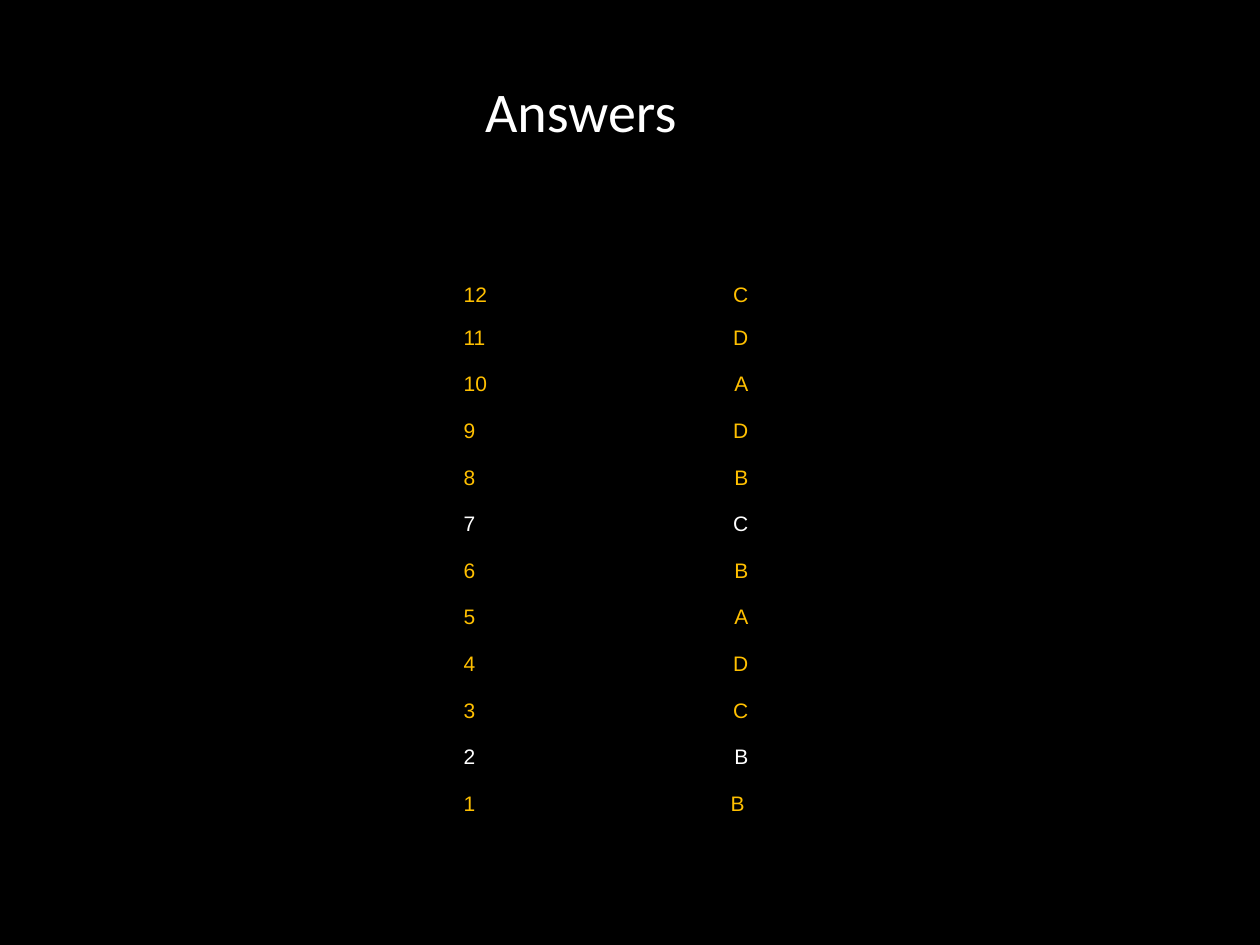
from pptx import Presentation
from pptx.dml.color import RGBColor
from pptx.enum.shapes import MSO_SHAPE
from pptx.enum.text import MSO_ANCHOR, PP_ALIGN
from pptx.oxml.ns import qn
from pptx.util import Inches, Pt

BLACK = RGBColor(0x00, 0x00, 0x00)
WHITE = RGBColor(0xFF, 0xFF, 0xFF)
GOLD = RGBColor(0xFF, 0xC0, 0x00)
PLAIN_TABLE = "{2D5ABB26-0587-4C30-8999-92F81FD0307C}"

ANSWERS = "BBCDABCBDADC"  # questions 1 to 12
WHITE_QUESTIONS = (2, 7)
COLUMN_WIDTHS = (0.77, 1.52)
END_ROW, INNER_ROW = 0.34, 0.37
INSET = 0.03


class Deck:
    """Holds the style and the current slide."""

    def __init__(self, prs):
        """Add a title-only slide."""
        self.title_font, self.body_font = "Calibri", "Arial"
        self.s = prs.slides.add_slide(prs.slide_layouts[5])

    def style(self, p, name, size, color, align):
        """Format one paragraph."""
        p.alignment = align
        p.font.name, p.font.size = name, Pt(size)
        p.font.color.rgb = color

    def backdrop(self, width, height):
        """Put a black rectangle behind everything else."""
        sp = self.s.shapes.add_shape(
            MSO_SHAPE.RECTANGLE, 0, 0, Inches(width), Inches(height))
        sp.shadow.inherit = False
        sp.fill.solid()
        sp.fill.fore_color.rgb = BLACK
        sp.line.fill.background()
        self.s.shapes._spTree.insert(2, sp._element)

    def title(self, text, left, top, width, height):
        """Place and fill the title placeholder."""
        sp = self.s.shapes.title
        sp.left, sp.top = Inches(left), Inches(top)
        sp.width, sp.height = Inches(width), Inches(height)
        tf = sp.text_frame
        tf.text = text
        tf.vertical_anchor = MSO_ANCHOR.MIDDLE
        self.style(tf.paragraphs[0], self.title_font, 32, WHITE, PP_ALIGN.CENTER)

    def cell(self, cell, text, color, align, left=0, right=0):
        """Fill one table cell."""
        cell.text = text
        cell.margin_left, cell.margin_right = Inches(left), Inches(right)
        cell.margin_top = cell.margin_bottom = 0
        cell.fill.solid()
        cell.fill.fore_color.rgb = BLACK
        self.style(cell.text_frame.paragraphs[0], self.body_font, 12, color, align)

    def answer_table(self, answers, left, top):
        """List the answers from the last question down to the first."""
        count = len(answers)
        heights = [END_ROW] + [INNER_ROW] * (count - 2) + [END_ROW]
        frame = self.s.shapes.add_table(
            count, 2, Inches(left), Inches(top),
            Inches(sum(COLUMN_WIDTHS)), Inches(sum(heights)))
        table = frame.table
        table.first_row = table.horz_banding = False
        table._tbl.tblPr.find(qn("a:tableStyleId")).text = PLAIN_TABLE
        for column, width in zip(table.columns, COLUMN_WIDTHS):
            column.width = Inches(width)
        for i, height in enumerate(heights):
            table.rows[i].height = Inches(height)
            number = count - i
            color = WHITE if number in WHITE_QUESTIONS else GOLD
            self.cell(table.cell(i, 0), str(number), color, PP_ALIGN.LEFT, left=INSET)
            self.cell(table.cell(i, 1), answers[number - 1], color, PP_ALIGN.RIGHT,
                      right=INSET if number == 1 else 0)
        for cell in table.rows[count - 1].cells:
            cell.fill.background()


def main():
    """Build and save the slide."""
    prs = Presentation()
    prs.slide_width, prs.slide_height = Inches(10), Inches(7.5)
    deck = Deck(prs)
    deck.backdrop(10, 7.5)
    deck.title("Answers", 3.11, 0.16, 3, 1.42)
    deck.answer_table(ANSWERS, 3.65, 2.25)
    prs.save("out.pptx")


main()
